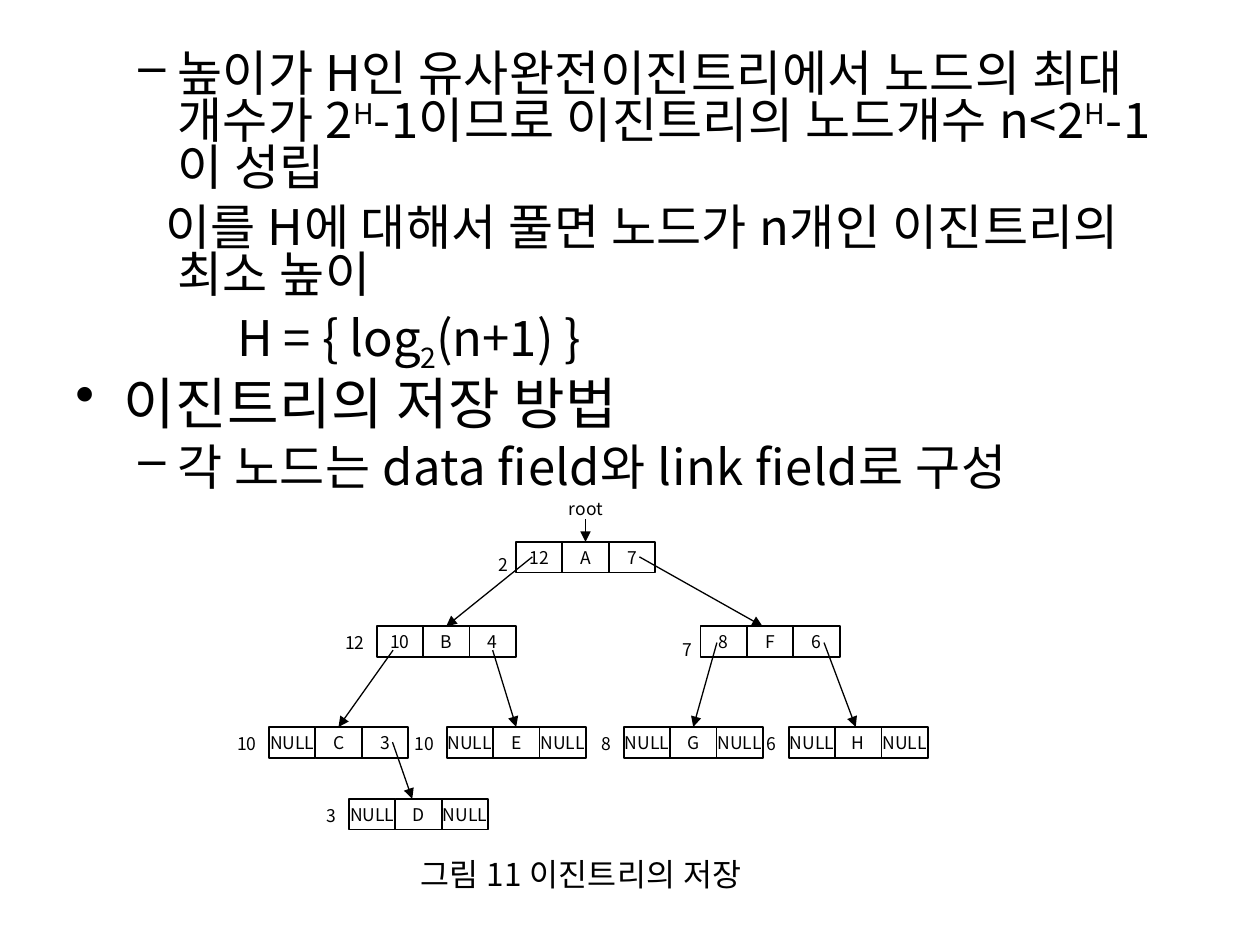
from lxml.etree import SubElement
from pptx import Presentation
from pptx.dml.color import RGBColor
from pptx.enum.shapes import MSO_CONNECTOR, MSO_SHAPE
from pptx.enum.text import MSO_ANCHOR, PP_ALIGN
from pptx.oxml.ns import qn
from pptx.util import Inches, Pt

FONT = "Noto Sans CJK KR"
BLACK = "000000"
COLS, ROWS = 100, 75
CELL_W, CELL_H = 3.68, 2.45
LABEL_W, LABEL_H = 3.7, 2.7

prs = Presentation()
prs.slide_width, prs.slide_height = Inches(10), Inches(7.5)


def grid(col, row):
    return int(prs.slide_width * col / COLS), int(prs.slide_height * row / ROWS)


def place(box):
    return *grid(*box[:2]), *grid(*box[2:])


def color(value):
    return RGBColor.from_string(value)


def apply(target, values):
    for name, value in values.items():
        setattr(target, name, value)


def add_run(p, text, size, baseline=0):
    r = p.add_run()
    r.text = text
    apply(r.font, {"size": Pt(size), "name": FONT})
    r.font.color.rgb = color(BLACK)
    r_pr = r.font._element
    SubElement(r_pr, qn("a:ea"), typeface=FONT)
    if any(letter >= "가" for letter in text):
        r_pr.set("spc", str(size))
    if baseline:
        r_pr.set("baseline", str(baseline * 1000))


def add_label(shapes, box, text, size=10, align=PP_ALIGN.LEFT, wrap=False):
    tf = shapes.add_textbox(*place(box)).text_frame
    tf.word_wrap = wrap
    p = tf.paragraphs[0]
    p.alignment = align
    add_run(p, text, size)


def add_body(shapes, box, paragraphs):
    tf = shapes.add_textbox(*place(box)).text_frame
    tf.word_wrap = True
    for i, (level, indent, bullet, size, before, runs) in enumerate(paragraphs):
        p = tf.add_paragraph() if i else tf.paragraphs[0]
        apply(p, {"level": level, "line_spacing": 0.8, "space_before": Pt(before if i else 0)})
        p_pr = p._p.get_or_add_pPr()
        p_pr.set("marL", str(grid(8.1 if level else 3.8, 0)[0]))
        p_pr.set("indent", str(grid(indent, 0)[0]))
        if bullet:
            SubElement(p_pr, qn("a:buChar"), char=bullet)
        else:
            SubElement(p_pr, qn("a:buNone"))
        for text, baseline in runs:
            add_run(p, text, size, baseline)


def add_node(shapes, box, fields, address, shift):
    left, top, width, height = box
    cells = []
    for i, text in enumerate(fields):
        cell = (left + i * width / 3, top, width / 3, height)
        sp = shapes.add_shape(MSO_SHAPE.RECTANGLE, *place(cell))
        sp.shadow.inherit = False
        sp.fill.background()
        sp.line.color.rgb = color(BLACK)
        sp.line.width = Pt(1)
        tf = sp.text_frame
        apply(tf, {"word_wrap": False, "vertical_anchor": MSO_ANCHOR.MIDDLE})
        p = tf.paragraphs[0]
        p.alignment = PP_ALIGN.CENTER
        add_run(p, text, 10)
        cells.append(sp)
    dx, dy = shift
    label = (left - LABEL_W + dx, top + dy, LABEL_W, LABEL_H)
    add_label(shapes, label, address, align=PP_ALIGN.RIGHT, wrap=True)
    return cells[1]


def add_arrow(shapes, start, target, off_middle=0):
    end = target.left + target.width // 2 + grid(off_middle, 0)[0], target.top
    cxn = shapes.add_connector(MSO_CONNECTOR.STRAIGHT, *grid(*start), *end)
    if not off_middle:
        cxn.end_connect(target, 0)
    cxn.line.color.rgb = color(BLACK)
    cxn.line.width = Pt(0.75)
    SubElement(cxn.line._get_or_add_ln(), qn("a:tailEnd"), type="triangle")
    SubElement(cxn._element.spPr, qn("a:effectLst"))


def add_tree(shapes, box, nodes, links):
    left, top = box[:2]
    middles = {}
    for name, (x, y, before, after, address, shift) in nodes.items():
        node = (left + x, top + y, 3 * CELL_W, CELL_H)
        middles[name] = add_node(shapes, node, (before, name, after), address, shift)
    root_x = left + nodes["A"][0] + 1.5 * CELL_W
    add_label(shapes, (root_x - 2.3, top, 4.7, 2.7), "root")
    add_arrow(shapes, (root_x, top + 2.2), middles["A"])
    for parent, child, dx, dy, off_middle in links:
        x, y = nodes[parent][:2]
        add_arrow(shapes, (left + x + dx, top + y + dy), middles[child], off_middle)


BODY = [
    (1, -3.1, "–", 28, 7, [
        ("높이가 H인 유사완전이진트리에서 노드의 최대 개수가 2", 0), ("H", 30),
        ("-1이므로 이진트리의 노드개수 n<2", 0), ("H", 30), ("-1이 성립", 0)]),
    (1, -0.95, None, 28, 7, [("이를 H에 대해서 풀면 노드가 n개인 이진트리의 최소 높이", 0)]),
    (1, 4.75, None, 28, 7, [("H = { log", 0), ("2", -25), ("(n+1) }", 0)]),
    (0, -3.8, "•", 32, 8, [("이진트리의 저장 방법", 0)]),
    (1, -3.1, "–", 28, 7, [("각 노드는 data field와 link field로 구성", 0)]),
]

LEVELS = (4, 10.7, 18.7, 24.4)
FLUSH, LOWERED = (0, 0), (0.35, 0.5)
NODES = {
    "A": (23.25, LEVELS[0], "12", "7", "2", LOWERED),
    "B": (12.2, LEVELS[1], "10", "4", "12", FLUSH),
    "F": (37.9, LEVELS[1], "8", "6", "7", LOWERED),
    "C": (3.65, LEVELS[2], "NULL", "3", "10", FLUSH),
    "G": (31.8, LEVELS[2], "NULL", "NULL", "8", FLUSH),
    "H": (44.9, LEVELS[2], "NULL", "NULL", "6", FLUSH),
    "E": (17.75, LEVELS[2], "NULL", "NULL", "10", FLUSH),
    "D": (10, LEVELS[3], "NULL", "NULL", "3", FLUSH),
}
LEFT_LINK, RIGHT_LINK = 1.3, 9.8
LINKS = [
    ("A", "B", LEFT_LINK, 1.2, 0),
    ("A", "F", RIGHT_LINK, 1.2, -0.6),
    ("B", "C", LEFT_LINK, 1.9, 0),
    ("B", "E", 9.2, 1.9, 0),
    ("F", "G", LEFT_LINK, 1.3, 0),
    ("F", "H", RIGHT_LINK, 1.3, -0.2),
    ("C", "D", RIGHT_LINK, 1.2, -0.5),
]

s = prs.slides.add_slide(prs.slide_layouts[6])
add_body(s.shapes, (5, 3.8, 90.9, 36), BODY)
add_tree(s.shapes.add_group_shape().shapes, (17.7, 39, 56, 27), NODES, LINKS)
add_label(s.shapes, (32.4, 67.35, 28.8, 4), "그림 11 이진트리의 저장", 18)
prs.save("out.pptx")
